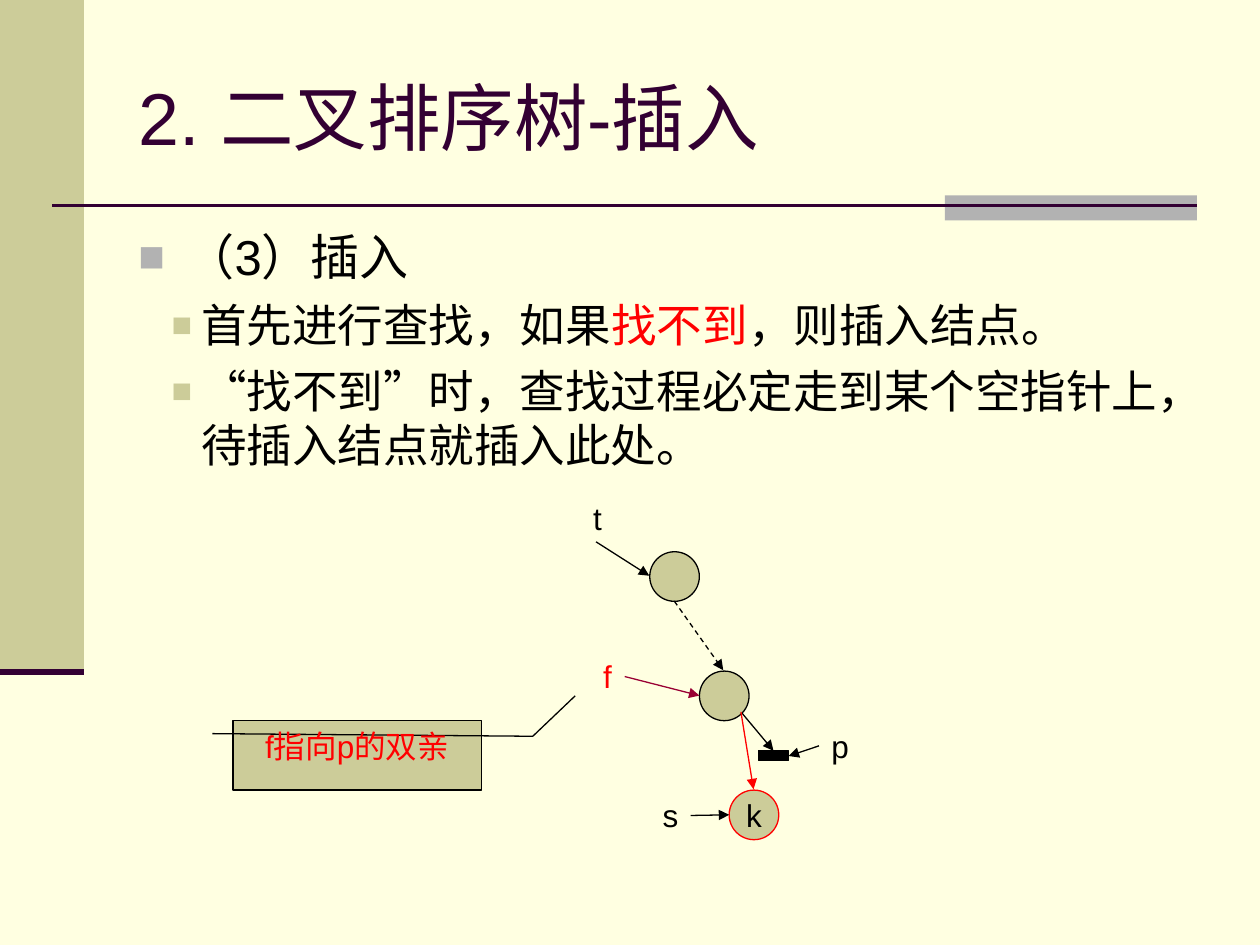
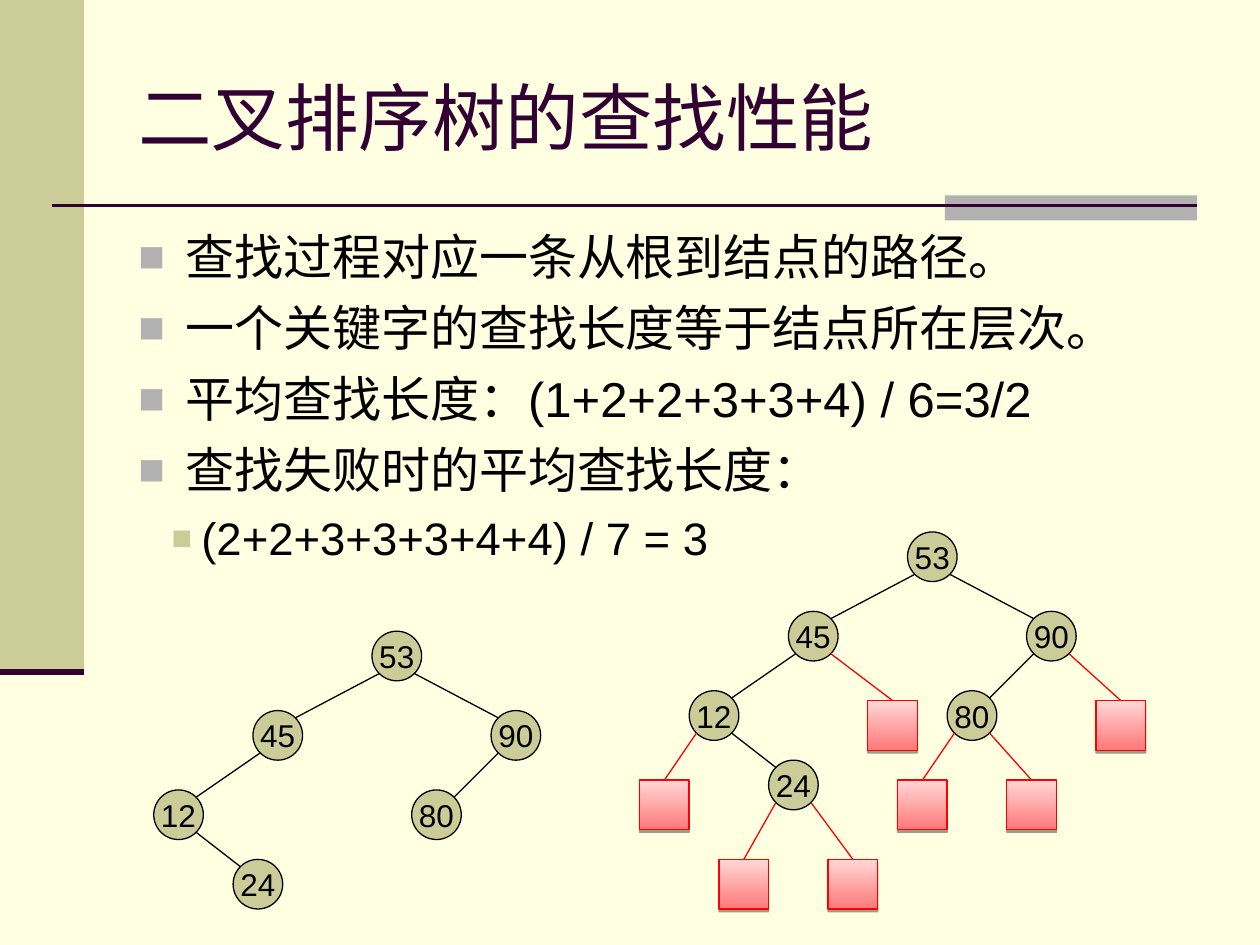
from dataclasses import dataclass
from math import sqrt

from lxml.etree import SubElement
from pptx import Presentation
from pptx.dml.color import RGBColor
from pptx.enum.dml import MSO_LINE
from pptx.enum.shapes import MSO_CONNECTOR, MSO_SHAPE
from pptx.enum.text import MSO_ANCHOR, PP_ALIGN
from pptx.oxml.ns import qn
from pptx.util import Pt


@dataclass(frozen=True)
class Theme:
    paper: str = "FFFFE1"
    olive: str = "CCCC99"
    gray: str = "B2B2B2"
    plum: str = "330033"
    wine: str = "990033"
    ink: str = "000000"
    red: str = "FF0000"
    rose: str = "FF7878"
    blush: str = "FFD7D7"
    font: str = "Arial"
    title_size: int = 42
    label_size: int = 18
    body_sizes: tuple = (28, 26)
    thin: float = 0.75


THEME = Theme()
NODE = 28.35
LEVELS = (
    {"color": THEME.gray, "percent": 90, "margin": 27, "indent": -27, "before": 7},
    {"color": THEME.olive, "percent": 75, "margin": 36, "indent": -17, "before": 6.5},
)


def rgb(color):
    return RGBColor.from_string(color)


def assign(target, values):
    for name, value in values.items():
        setattr(target, name, value)


def child(parent, tag, **attributes):
    return SubElement(parent, qn(tag), {k: str(v) for k, v in attributes.items()})


class Deck:
    def __init__(self, theme):
        self.theme = theme
        self.presentation = Presentation()
        assign(self.presentation, {"slide_width": Pt(720), "slide_height": Pt(540)})
        self.slide = None

    def new_slide(self, title):
        theme = self.theme
        self.slide = self.presentation.slides.add_slide(self.presentation.slide_layouts[6])
        background = self.slide.background.fill
        background.solid()
        background.fore_color.rgb = rgb(theme.paper)
        self.shape(MSO_SHAPE.RECTANGLE, (0, 0, 48, 384), theme.olive)
        self.shape(MSO_SHAPE.RECTANGLE, (540, 111.6, 144, 14.4), theme.gray)
        self.line((30, 117.6), (684, 117.6), theme.plum, 1.5)
        self.line((0, 384), (48, 384), theme.plum, 3.5)
        heading = self.text_frame((72, 21.6, 612, 90), MSO_ANCHOR.MIDDLE)
        self.run(heading.paragraphs[0], title, theme.title_size, theme.plum)

    def run(self, paragraph, text, size, color):
        run = paragraph.add_run()
        run.text = text
        assign(run.font, {"size": Pt(size), "name": self.theme.font})
        run.font.color.rgb = rgb(color)

    def text_frame(self, box, anchor=MSO_ANCHOR.TOP, wrap=True):
        frame = self.slide.shapes.add_textbox(*map(Pt, box)).text_frame
        assign(frame, {"word_wrap": wrap, "vertical_anchor": anchor})
        return frame

    def body(self, items):
        frame = self.text_frame((72, 126, 612, 356.4))
        for index, (level, *pieces) in enumerate(items):
            paragraph = frame.add_paragraph() if index else frame.paragraphs[0]
            style = LEVELS[level]
            assign(paragraph, {"level": level, "space_before": Pt(style["before"])})
            self.bullet(paragraph, style)
            for text, color in pieces:
                self.run(paragraph, text, self.theme.body_sizes[level], color)

    def bullet(self, paragraph, style):
        properties = paragraph._p.get_or_add_pPr()
        properties.set("marL", str(Pt(style["margin"])))
        properties.set("indent", str(Pt(style["indent"])))
        child(child(properties, "a:buClr"), "a:srgbClr", val=style["color"])
        child(properties, "a:buSzPct", val=style["percent"] * 1000)
        child(properties, "a:buFont", typeface=self.theme.font)
        child(properties, "a:buChar", char="■")

    def label(self, text, left, top, color=THEME.ink):
        frame = self.text_frame((left, top, 24, 28.8), wrap=False)
        self.run(frame.paragraphs[0], text, self.theme.label_size, color)

    def shape(self, kind, box, fill=None, outline=None):
        shape = self.slide.shapes.add_shape(kind, *map(Pt, box))
        shape.shadow.inherit = False
        if fill:
            shape.fill.solid()
            shape.fill.fore_color.rgb = rgb(fill)
        if outline:
            shape.line.color.rgb = rgb(outline)
            shape.line.width = Pt(self.theme.thin)
        else:
            shape.line.fill.background()
        return shape

    def caption(self, shape, text, color, anchor, wrap):
        assign(shape.text_frame, {"word_wrap": wrap, "vertical_anchor": anchor})
        paragraph = shape.text_frame.paragraphs[0]
        paragraph.alignment = PP_ALIGN.CENTER
        self.run(paragraph, text, self.theme.label_size, color)

    def node(self, left, top, key="", outline=THEME.ink):
        circle = self.shape(MSO_SHAPE.OVAL, (left, top, NODE, NODE), self.theme.olive, outline)
        if key:
            self.caption(circle, key, self.theme.ink, MSO_ANCHOR.MIDDLE, False)

    def empty_leaf(self, left, top):
        leaf = self.shape(MSO_SHAPE.RECTANGLE, (left, top, NODE, NODE), outline=self.theme.red)
        leaf.fill.gradient()
        leaf.fill.gradient_angle = 90
        stops = zip(leaf.fill.gradient_stops, (0, 1), (self.theme.rose, self.theme.blush))
        for stop, position, color in stops:
            stop.position = position
            stop.color.rgb = rgb(color)
        effects = leaf._element.spPr.find(qn("a:effectLst"))
        shadow = child(effects, "a:outerShdw", blurRad=0, dist=Pt(1.6), dir=5400000, rotWithShape=0)
        shade = child(shadow, "a:srgbClr", val=self.theme.ink)
        child(shade, "a:alpha", val=38000)

    def callout(self, text, box, bends):
        note = self.shape(MSO_SHAPE.LINE_CALLOUT_2, box, self.theme.olive, self.theme.ink)
        for index, bend in enumerate(bends):
            note.adjustments[index] = bend
        self.caption(note, text, self.theme.red, MSO_ANCHOR.TOP, True)

    def line(self, start, end, color=THEME.ink, width=THEME.thin, dash=None, arrow=False):
        line = self.slide.shapes.add_connector(MSO_CONNECTOR.STRAIGHT, *map(Pt, (*start, *end)))
        line.line.color.rgb = rgb(color)
        assign(line.line, {"width": Pt(width), "dash_style": dash})
        if arrow:
            child(line.line._get_or_add_ln(), "a:tailEnd", type="triangle")
        child(line._element.spPr, "a:effectLst")

    def tree(self, left, top, keys, edges, leaves=()):
        corner = NODE / sqrt(8)

        def place(offset):
            return left + offset[0] * NODE, top + offset[1] * NODE

        def center(offset):
            return tuple(value + NODE / 2 for value in place(offset))

        for key, offset in keys.items():
            self.node(*place(offset), key)
        for parent, kid in edges:
            (x1, y1), (x2, y2) = center(keys[parent]), center(keys[kid])
            side = corner if x2 > x1 else -corner
            self.line((x1 + side, y1 + corner), (x2 - side, y2 - corner))
        for parent, offset in leaves:
            self.empty_leaf(*place(offset))
            (x1, y1), (x2, y2) = center(keys[parent]), center(offset)
            side = corner if x2 > x1 else -corner
            self.line((x1 + side, y1 + corner), (x2, y2 - NODE / 2), self.theme.red)


def insertion_slide(deck):
    theme = deck.theme
    deck.new_slide("2. 二叉排序树-插入")
    deck.body([
        (0, ("（3）插入", theme.ink)),
        (1, ("首先进行查找，如果", theme.ink), ("找不到", theme.red), ("，则插入结点。", theme.ink)),
        (1, ("“找不到”时，查找过程必定走到某个空指针上，待插入结点就插入此处。", theme.ink)),
    ])
    deck.node(371.3, 315.3)
    deck.node(399.7, 383.5)
    deck.node(416.7, 451.5, "k", theme.red)
    deck.shape(MSO_SHAPE.RECTANGLE, (433.5, 429, 17, 5.7), theme.ink, theme.ink)
    for name, left, top, color in (
        ("t", 331.8, 281.5, theme.ink),
        ("f", 337.6, 372.2, theme.red),
        ("p", 468, 412, theme.ink),
        ("s", 371.5, 451.5, theme.ink),
    ):
        deck.label(name, left, top, color)
    for start, end, color, dash in (
        ((340.6, 309.6), (371, 329), theme.ink, None),
        ((385.3, 343.5), (413.3, 383), theme.ink, MSO_LINE.DASH),
        ((357, 386.6), (399.7, 397.5), theme.wine, None),
        ((424, 407.5), (442, 429), theme.ink, None),
        ((468, 426.2), (450.7, 432), theme.ink, None),
        ((394.6, 466), (416.7, 465.6), theme.ink, None),
        ((423.4, 406.8), (430.6, 451), theme.red, None),
    ):
        deck.line(start, end, color, dash=dash, arrow=True)
    deck.callout("f指向p的双亲", (133.2, 411.8, 141.8, 39.6),
                 (0.188, -0.083, 0.226, 1.208, -0.358, 1.379))


def performance_slide(deck):
    deck.new_slide("二叉排序树的查找性能")
    lines = (
        (0, "查找过程对应一条从根到结点的路径。"),
        (0, "一个关键字的查找长度等于结点所在层次。"),
        (0, "平均查找长度：(1+2+2+3+3+4) / 6=3/2"),
        (0, "查找失败时的平均查找长度："),
        (1, "(2+2+3+3+3+4+4) / 7 = 3"),
    )
    deck.body([(level, (text, deck.theme.ink)) for level, text in lines])
    keys = {"53": (0, 0), "45": (-2.4, 1.6), "90": (2.4, 1.6),
            "12": (-4.4, 3.2), "24": (-2.8, 4.6), "80": (0.8, 3.2)}
    edges = (("53", "45"), ("53", "90"), ("45", "12"), ("12", "24"), ("90", "80"))
    failures = (
        ("12", (-5.4, 5)), ("24", (-3.8, 6.6)), ("24", (-1.6, 6.6)), ("80", (-0.2, 5)),
        ("80", (2, 5)), ("90", (3.8, 3.4)), ("45", (-0.8, 3.4)),
    )
    deck.tree(212.6, 360.7, keys, edges)
    deck.tree(518.6, 304, keys, edges, failures)


def main():
    deck = Deck(THEME)
    insertion_slide(deck)
    performance_slide(deck)
    deck.presentation.save("out.pptx")


if __name__ == "__main__":
    main()
